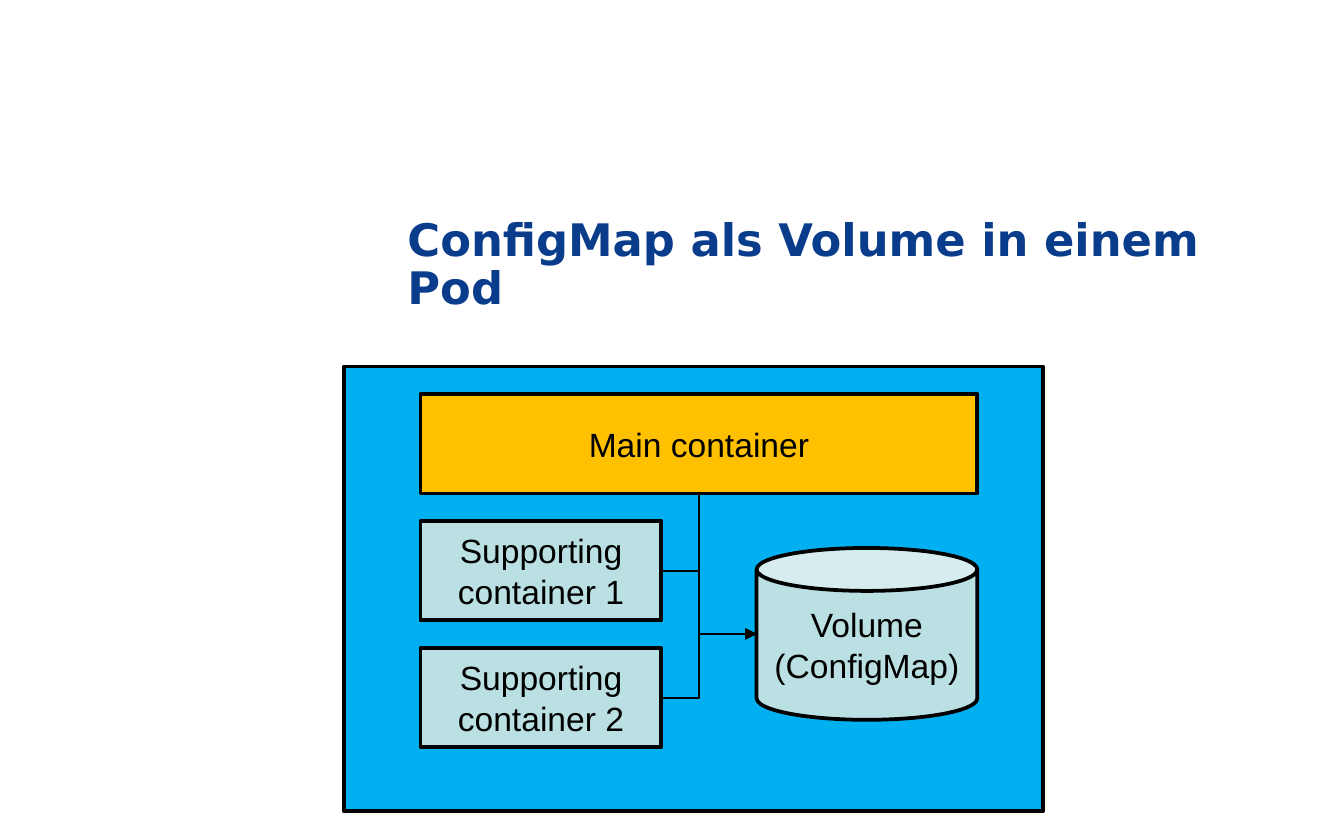
from dataclasses import dataclass

from lxml import etree
from pptx import Presentation
from pptx import util as u
from pptx.dml.color import RGBColor
from pptx.enum import shapes, text
from pptx.oxml import ns


@dataclass(frozen=True)
class Theme:
    title: str = "0A3C8C"
    ink: str = "000000"
    pod: str = "00B0F0"
    main: str = "FFC000"
    aide: str = "BBE0E3"
    head: str = "DejaVu Sans"
    body: str = "Arial"
    big: int = 24
    size: int = 18
    edge: int = 2
    wire: int = 1


THEME = Theme()
RECT = shapes.MSO_SHAPE.RECTANGLE
CAN = shapes.MSO_SHAPE.CAN


def color(code):
    return RGBColor.from_string(code)


def style(font, name, size, code, bold=False):
    font.name, font.size, font.bold = name, u.Pt(size), bold
    font.color.rgb = color(code)


def add_title(slide, words):
    title = slide.shapes.title
    title.left, title.top = u.Cm(7.7), u.Cm(2.95)
    title.width, title.height = u.Cm(16), u.Cm(3.6)
    frame = title.text_frame
    frame.text = words
    frame.word_wrap = True
    frame.auto_size = text.MSO_AUTO_SIZE.NONE
    frame.vertical_anchor = text.MSO_ANCHOR.BOTTOM
    frame.margin_left = frame.margin_right = frame.margin_top = 0
    frame.margin_bottom = u.Cm(0.61)
    para = frame.paragraphs[0]
    para.alignment = text.PP_ALIGN.LEFT
    para.line_spacing = 0.9
    style(para.font, THEME.head, THEME.big, THEME.title, True)


def add_box(slide, kind, area, fill, words=""):
    box = slide.shapes.add_shape(kind, *map(u.Cm, area))
    box.shadow.inherit = False
    box.fill.solid()
    box.fill.fore_color.rgb = color(fill)
    box.line.color.rgb = color(THEME.ink)
    box.line.width = u.Pt(THEME.edge)
    if words:
        frame = box.text_frame
        frame.text = words
        frame.word_wrap = True
        frame.vertical_anchor = text.MSO_ANCHOR.MIDDLE
        for para in frame.paragraphs:
            para.alignment = text.PP_ALIGN.CENTER
            style(para.font, THEME.body, THEME.size, THEME.ink)
    return box


def add_elbow(slide, start, end):
    wire = slide.shapes.add_connector(shapes.MSO_CONNECTOR.ELBOW, *start, *end)
    wire.line.color.rgb = color(THEME.ink)
    wire.line.width = u.Pt(THEME.wire)
    etree.SubElement(wire.line._get_or_add_ln(), ns.qn("a:tailEnd"), type="triangle")
    props = wire._element.spPr
    etree.SubElement(props, ns.qn("a:effectLst"))
    return wire, props


def add_side(slide, start, end, bus):
    """Leave sideways and turn at the x position of the bus."""
    wire, props = add_elbow(slide, start, end)
    ratio = round(100000 * (bus - start[0]) / (end[0] - start[0]))
    guides = props.find(ns.qn("a:prstGeom")).get_or_add_avLst()
    etree.SubElement(guides, ns.qn("a:gd"), name="adj1", fmla=f"val {ratio}")


def add_drop(slide, start, end):
    """Go straight down, then right: a single bend, turned by 270 degrees."""
    wire, props = add_elbow(slide, start, end)
    wide, high = end[0] - start[0], end[1] - start[1]
    wire.left = start[0] + (wide - high) // 2
    wire.top = start[1] + (high - wide) // 2
    wire.width, wire.height = high, wide
    props.find(ns.qn("a:prstGeom")).set("prst", "bentConnector2")
    form = props.find(ns.qn("a:xfrm"))
    form.set("rot", str(270 * 60000))
    form.set("flipH", "1")


def main():
    deck = Presentation()
    deck.slide_width, deck.slide_height = u.Cm(25.4), u.Cm(15.88)
    slide = deck.slides.add_slide(deck.slide_layouts[5])
    add_title(slide, "ConfigMap als Volume in einem Pod")

    left, top, high, step = 7.95, 7.45, 1.88, 2.4
    add_box(slide, RECT, (6.5, 6.93, 13.21, 8.41), THEME.pod)
    core = add_box(slide, RECT, (left, top, 10.52, high), THEME.main,
                   "Main container")
    aides = [
        add_box(slide, RECT, (left, top + i * step, 4.55, high), THEME.aide,
                f"Supporting container {i}")
        for i in (1, 2)
    ]
    store = add_box(slide, CAN, (14.3, 10.36, 4.17, 3.25), THEME.aide,
                    "Volume\n(ConfigMap)")

    bus = core.left + core.width // 2
    goal = store.left, store.top + store.height // 2
    for aide in aides:
        start = aide.left + aide.width, aide.top + aide.height // 2
        add_side(slide, start, goal, bus)
    add_drop(slide, (bus, core.top + core.height), goal)
    deck.save("out.pptx")


if __name__ == "__main__":
    main()
